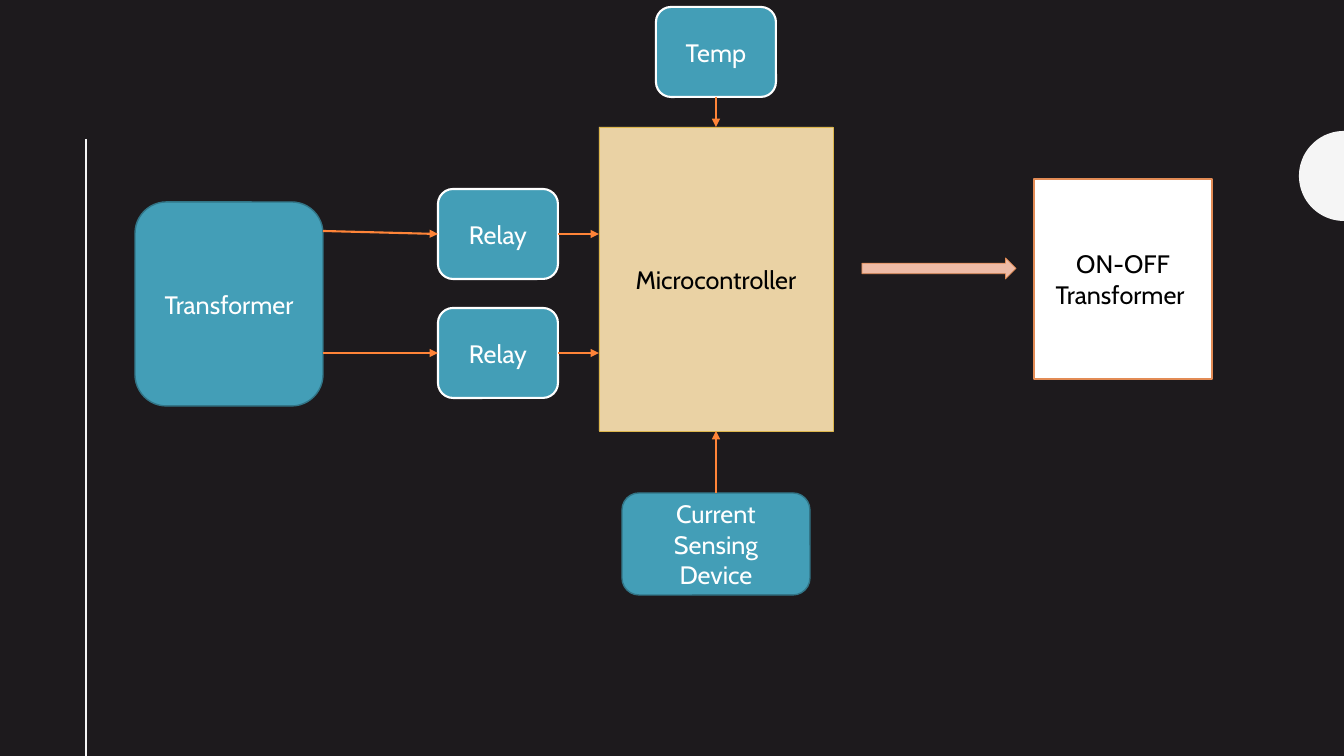
from dataclasses import dataclass
from math import cos, pi, sin
from typing import NamedTuple, Optional

from lxml.etree import SubElement
from pptx import Presentation
from pptx.dml.color import RGBColor
from pptx.enum.shapes import MSO_CONNECTOR, MSO_SHAPE
from pptx.enum.text import MSO_ANCHOR, PP_ALIGN
from pptx.oxml.ns import qn
from pptx.util import Emu, Pt

SCALE = 12700 * 5 / 7  # EMU in one px
TOP, LEFT, BOTTOM, RIGHT = range(4)
WIDTH, HEIGHT = 1344, 756


@dataclass(frozen=True)
class Theme:
    back: str = "1D1A1D"
    pale: str = "F5F5F5"
    white: str = "FFFFFF"
    black: str = "000000"
    teal: str = "439EB7"
    deep: str = "327587"
    sand: str = "EAD2A4"
    gold: str = "DCB64D"
    wire: str = "FF8438"
    peach: str = "EEBBA6"
    rust: str = "E28B55"
    font: str = "Cabin"
    size: int = 18


THEME = Theme()


class Style(NamedTuple):
    kind: MSO_SHAPE
    fill: str
    edge: str
    width: float
    ink: str


class Box(NamedTuple):
    name: str
    style: Style
    left: int
    top: int
    width: int
    height: int
    lines: tuple = ()


class Wire(NamedTuple):
    """An arrow; a named box takes over the point given for its end."""
    start: tuple
    end: tuple
    source: Optional[tuple] = None
    target: Optional[tuple] = None


ROUND = MSO_SHAPE.ROUNDED_RECTANGLE
UNIT = Style(ROUND, THEME.teal, THEME.deep, 1, THEME.white)
PART = Style(ROUND, THEME.teal, THEME.white, 1.5, THEME.white)
CORE = Style(MSO_SHAPE.RECTANGLE, THEME.sand, THEME.gold, 0.5, THEME.black)
RESULT = Style(MSO_SHAPE.RECTANGLE, THEME.white, THEME.rust, 1, THEME.black)
ARROW = Style(MSO_SHAPE.RIGHT_ARROW, THEME.peach, THEME.rust, 0.5, THEME.black)

MID = 716
RELAYS = {"upper": 234, "lower": 353}

BOXES = [
    Box("core", CORE, MID - 117, 127, 234, 304, ("Microcontroller",)),
    Box("source", UNIT, 135, 202, 188, 204, ("Transformer",)),
    *(Box(name, PART, 438, y - 45, 120, 90, ("Relay",))
      for name, y in RELAYS.items()),
    Box("sensor", UNIT, MID - 94, 493, 188, 102, ("Current Sensing Device",)),
    Box("heat", PART, MID - 60, 7, 120, 90, ("Temp",)),
    Box("arrow", ARROW, 862, 258, 154, 21),
    Box("result", RESULT, 1034, 179, 178, 200, ("ON-OFF", "Transformer ")),
]

WIRES = [
    Wire((323, 231), (438, 234), target=("upper", LEFT)),
    Wire((323, 353), (438, 353), target=("lower", LEFT)),
    *(Wire((558, y), (599, y), source=(name, RIGHT))
      for name, y in RELAYS.items()),
    Wire((MID, 493), (MID, 431), ("sensor", TOP), ("core", BOTTOM)),
    Wire((MID, 97), (MID, 127), ("heat", BOTTOM), ("core", TOP)),
]


def px(count: float) -> Emu:
    return Emu(round(count * SCALE))


def paint(fill, color: str) -> None:
    fill.solid()
    fill.fore_color.rgb = RGBColor.from_string(color)


def apply(target, values: dict) -> None:
    for key, value in values.items():
        setattr(target, key, value)


def stroke(line, color: str, width: float) -> None:
    paint(line.fill, color)
    line.width = Pt(width)


def draw_box(shapes, box: Box):
    style = box.style
    shape = shapes.add_shape(style.kind, *map(px, box[2:6]))
    shape.shadow.inherit = False
    paint(shape.fill, style.fill)
    stroke(shape.line, style.edge, style.width)
    if box.lines:
        frame = shape.text_frame
        apply(frame, {"word_wrap": True, "vertical_anchor": MSO_ANCHOR.MIDDLE,
                      "text": "\n".join(box.lines)})
        for para in frame.paragraphs:
            para.alignment = PP_ALIGN.CENTER
            apply(para.font, {"name": THEME.font, "size": Pt(THEME.size)})
            para.font.color.rgb = RGBColor.from_string(style.ink)
    return shape


def draw_line(shapes, start: tuple, end: tuple, color: str, width: float):
    line = shapes.add_connector(MSO_CONNECTOR.STRAIGHT,
                                *map(px, (*start, *end)))
    stroke(line.line, color, width)
    SubElement(line.element.spPr, qn("a:effectLst"))
    return line


def draw_wire(shapes, wire: Wire, made: dict) -> None:
    line = draw_line(shapes, wire.start, wire.end, THEME.wire, 1.5)
    SubElement(line.element.spPr.find(qn("a:ln")), qn("a:tailEnd"),
               type="triangle")
    if wire.source:
        name, side = wire.source
        line.begin_connect(made[name], side)
    if wire.target:
        name, side = wire.target
        line.end_connect(made[name], side)


def draw_disc(shapes, y: int, radius: int, steps: int = 48) -> None:
    """Draw the left half of a disc centred on the slide's right edge."""
    turns = [pi * step / steps for step in range(steps + 1)]
    points = [(px(WIDTH - radius * sin(turn)), px(y - radius * cos(turn)))
              for turn in turns]
    form = shapes.build_freeform(*points[0])
    form.add_line_segments(points[1:], close=True)
    disc = form.convert_to_shape()
    disc.shadow.inherit = False
    paint(disc.fill, THEME.pale)
    disc.line.fill.background()


def main() -> None:
    deck = Presentation()
    apply(deck, {"slide_width": px(WIDTH), "slide_height": px(HEIGHT)})
    slide = deck.slides.add_slide(deck.slide_layouts[6])
    paint(slide.background.fill, THEME.back)
    shapes = slide.shapes
    draw_disc(shapes, 176, 45)
    draw_line(shapes, (86, 139), (86, HEIGHT), THEME.pale, 2)
    made = {box.name: draw_box(shapes, box) for box in BOXES}
    for wire in WIRES:
        draw_wire(shapes, wire, made)
    deck.save("out.pptx")


if __name__ == "__main__":
    main()
